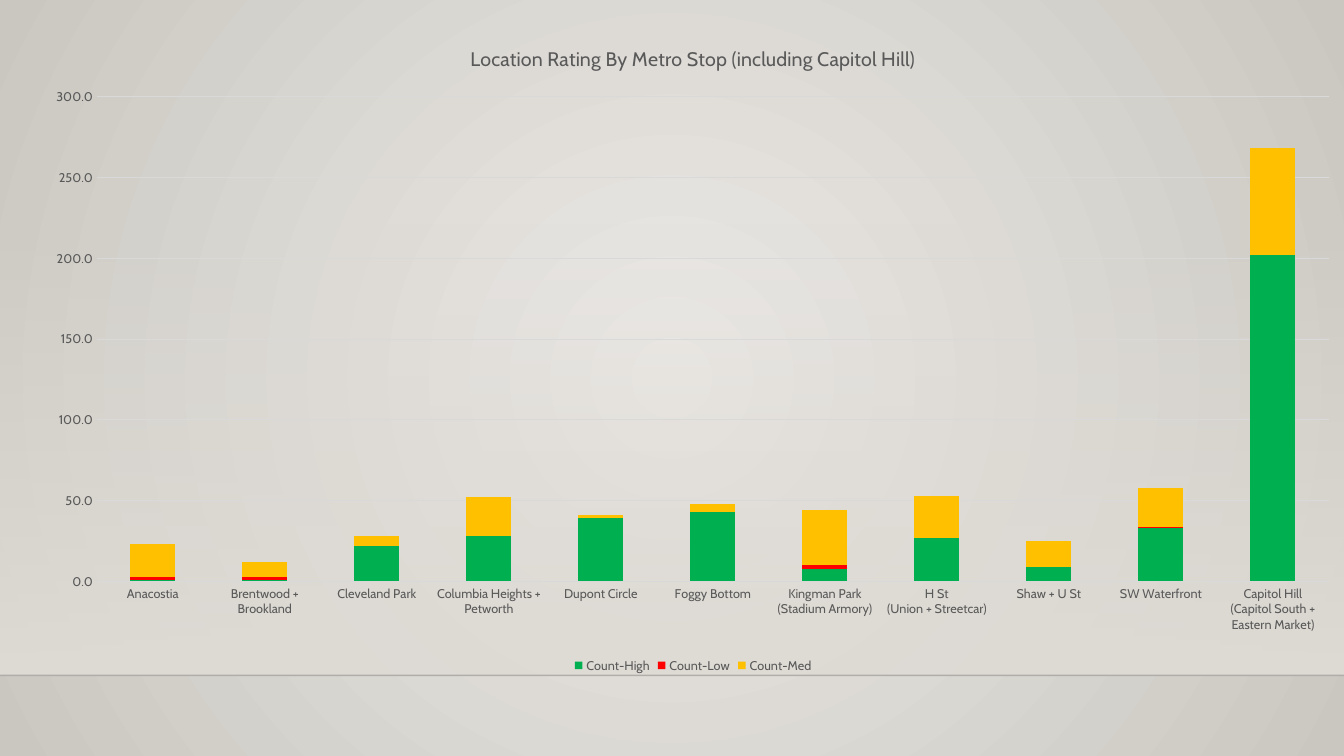
from pptx import Presentation
from pptx import util as u
from pptx.chart import data
from pptx.dml import color
from pptx.enum import chart as ch, shapes
from pptx.oxml import parse_xml
from pptx.oxml import ns

COLORS = {
    "center": "ECEAE7", "edge": "CAC7C1", "floor": "DFDBD5", "rule": "000001",
    "text": "595959", "grid": "D9D9D9",
    "Count-High": "00B050", "Count-Low": "FF0000", "Count-Med": "FFC000",
}
FONT = "Cabin"
STOPS = [
    "Anacostia", "Brentwood + Brookland", "Cleveland Park",
    "Columbia Heights + Petworth", "Dupont Circle", "Foggy Bottom",
    "Kingman Park\n(Stadium Armory)", "H St\n(Union + Streetcar)",
    "Shaw + U St", "SW Waterfront",
    "Capitol Hill\n(Capitol South + Eastern Market)",
]
RATINGS = {
    "Count-High": [1, 1, 22, 28, 39, 43, 8, 27, 9, 33, 202],
    "Count-Low": [2, 2, None, 0, None, None, 2, None, None, 1, None],
    "Count-Med": [20, 9, 6, 24, 2, 5, 34, 26, 16, 24, 66],
}
CHART_W, CHART_H = u.Inches(13.15), u.Inches(6.49)
PLOT_AREA = {
    "x": u.Inches(0.66) / CHART_W, "y": u.Inches(0.73) / CHART_H,
    "w": u.Inches(12.22) / CHART_W, "h": u.Inches(4.81) / CHART_H,
}


def rgb(name):
    return color.RGBColor.from_string(COLORS[name])


def set_font(font, size=9, name="text"):
    font.size = u.Pt(size)
    font.name = FONT
    font.bold = False
    font.color.rgb = rgb(name)


def put_text(tf, text, **fmt):
    r = tf.paragraphs[0].add_run()
    r.text = text
    set_font(r.font, **fmt)


def set_gradient(fill, element, stops, direction):
    fill.solid()
    fill.fore_color.rgb = rgb(stops[0][0])
    solid = element.xpath(".//a:solidFill")[0]
    gs = "".join(
        f'<a:gs pos="{pos}"><a:srgbClr val="{COLORS[name]}">'
        f'<a:alpha val="{alpha}"/></a:srgbClr></a:gs>'
        for name, pos, alpha in stops)
    solid.getparent().replace(solid, parse_xml(
        f'<a:gradFill {ns.nsdecls("a")} rotWithShape="1">'
        f"<a:gsLst>{gs}</a:gsLst>{direction}</a:gradFill>"))


def add_backdrop(s):
    set_gradient(
        s.background.fill, s._element,
        [("center", 0, 100000), ("edge", 100000, 100000)],
        '<a:path path="circle"><a:fillToRect l="50000" t="50000" '
        'r="50000" b="50000"/></a:path>')


def add_floor(s):
    sp = s.shapes.add_shape(
        shapes.MSO_SHAPE.RECTANGLE,
        u.Inches(0), u.Inches(2.21), u.Inches(13.33), u.Inches(4.49))
    sp.shadow.inherit = False
    sp.line.fill.background()
    set_gradient(
        sp.fill, sp._element.spPr,
        [("floor", 0, 0), ("floor", 100000, 100000)],
        '<a:lin ang="5400000" scaled="0"/>')


def add_rule(s):
    y = u.Inches(6.7)
    line = s.shapes.add_connector(
        shapes.MSO_CONNECTOR.STRAIGHT, u.Inches(0), y, u.Inches(13.33), y)
    line.line.width = u.Pt(1)
    line.line.color.rgb = rgb("rule")
    spPr = line._element.spPr
    spPr.xpath(".//a:srgbClr")[0].append(
        parse_xml(f'<a:alpha {ns.nsdecls("a")} val="20000"/>'))
    spPr.append(parse_xml(f'<a:effectLst {ns.nsdecls("a")}/>'))


def style_axis(axis):
    axis.major_tick_mark = ch.XL_TICK_MARK.NONE
    axis.minor_tick_mark = ch.XL_TICK_MARK.NONE
    set_font(axis.tick_labels.font)


def style_line(line):
    line.color.rgb = rgb("grid")
    line.width = u.Pt(0.75)


def place_plot(chart):
    plot_area = chart._chartSpace.chart.plotArea
    for old in plot_area.xpath("c:layout"):
        plot_area.remove(old)
    sizes = "".join(f'<c:{k} val="{v:.4f}"/>' for k, v in PLOT_AREA.items())
    plot_area.insert(0, parse_xml(
        f'<c:layout {ns.nsdecls("c")}><c:manualLayout>'
        '<c:layoutTarget val="inner"/><c:xMode val="edge"/>'
        f'<c:yMode val="edge"/>{sizes}</c:manualLayout></c:layout>'))


def add_ratings_chart(s):
    cd = data.CategoryChartData(number_format="0.0")
    cd.categories = STOPS
    for name, values in RATINGS.items():
        cd.add_series(name, values)
    chart = s.shapes.add_chart(
        ch.XL_CHART_TYPE.COLUMN_STACKED, u.Inches(0.3), u.Inches(0.23),
        CHART_W, CHART_H, cd).chart
    set_font(chart.font, size=10)

    chart.has_title = True
    put_text(chart.chart_title.text_frame,
             "Location Rating By Metro Stop (including Capitol Hill)", size=14)
    chart.chart_title.include_in_layout = False

    chart.has_legend = True
    chart.legend.position = ch.XL_LEGEND_POSITION.BOTTOM
    chart.legend.include_in_layout = False
    set_font(chart.legend.font)

    style_axis(chart.category_axis)
    style_line(chart.category_axis.format.line)
    values = chart.value_axis
    style_axis(values)
    values.minimum_scale, values.maximum_scale, values.major_unit = 0, 300, 50
    values.format.line.fill.background()
    style_line(values.major_gridlines.format.line)
    values.tick_labels.number_format = "0.0"
    values.tick_labels.number_format_is_linked = False

    plot = chart.plots[0]
    plot.gap_width = 150
    plot.overlap = 100
    plot.vary_by_categories = False
    for series in plot.series:
        series.format.fill.solid()
        series.format.fill.fore_color.rgb = rgb(series.name)
    place_plot(chart)


def main():
    prs = Presentation()
    prs.slide_width = u.Inches(13.33)
    prs.slide_height = u.Inches(7.5)
    s = prs.slides.add_slide(prs.slide_layouts[6])
    add_backdrop(s)
    add_floor(s)
    add_rule(s)
    add_ratings_chart(s)
    prs.save("out.pptx")


if __name__ == "__main__":
    main()
